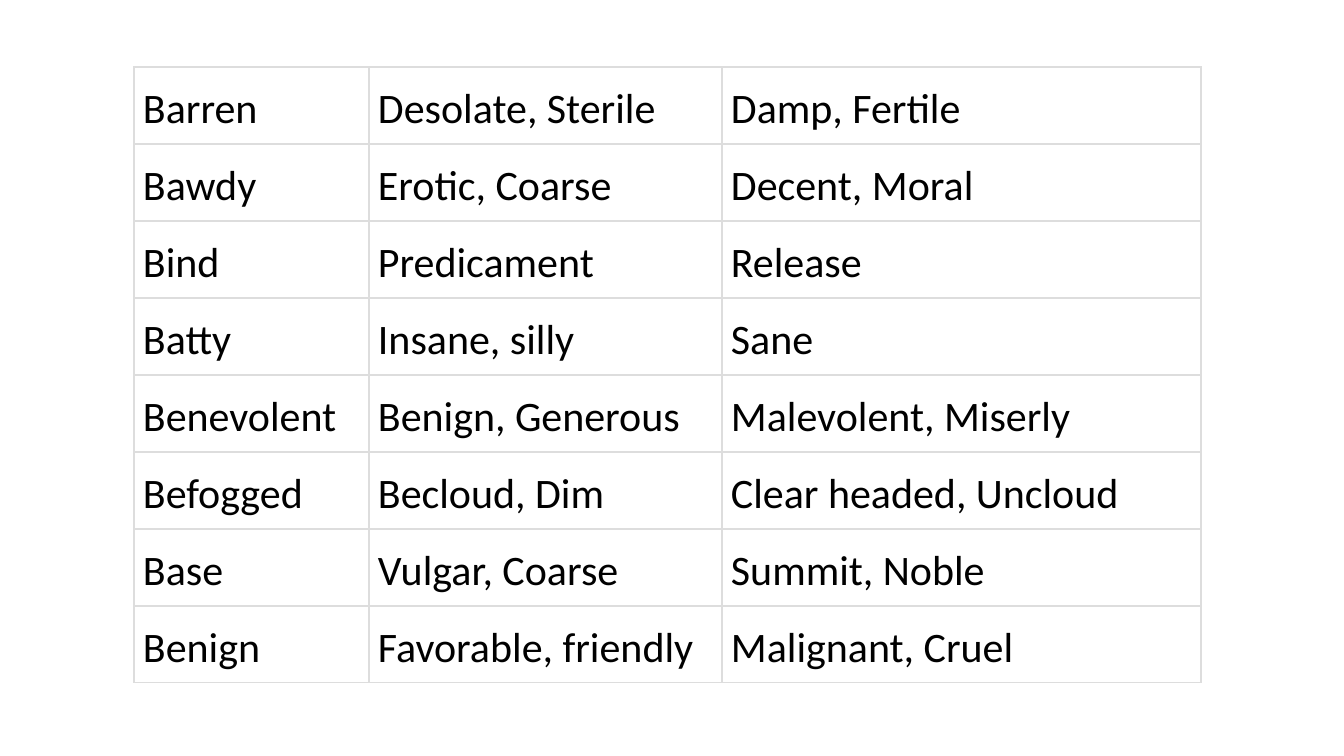
from typing import NamedTuple

from lxml import etree
from pptx import Presentation
from pptx.dml.color import RGBColor
from pptx.enum.text import MSO_ANCHOR
from pptx.oxml.ns import qn
from pptx.slide import Slide
from pptx.table import _Cell
from pptx.util import Emu, Pt

SLIDE_WIDTH, SLIDE_HEIGHT = 1344, 756
EMU_PER_PX = 12192000 / SLIDE_WIDTH

WHITE = RGBColor(0xFF, 0xFF, 0xFF)
BLACK = RGBColor(0x00, 0x00, 0x00)
BORDER_GREY = RGBColor(0xDD, 0xDD, 0xDD)

ANCHOR_TOP = MSO_ANCHOR.TOP
FONT_NAME = "Calibri"
FONT_SIZE = Pt(30)
LINE_SPACING = 1.15
BORDER_WIDTH = Pt(1)
BORDER_SIDES = ("a:lnL", "a:lnR", "a:lnT", "a:lnB")

TABLE_LEFT, TABLE_TOP = 134, 67
COLUMN_WIDTHS = (235, 353, 479)
ROW_HEIGHT = 77
CELL_MARGIN = 9


class Entry(NamedTuple):
    word: str
    synonyms: str
    antonyms: str


ENTRIES = (
    Entry("Barren", "Desolate, Sterile", "Damp, Fertile"),
    Entry("Bawdy", "Erotic, Coarse", "Decent, Moral"),
    Entry("Bind", "Predicament", "Release"),
    Entry("Batty", "Insane, silly", "Sane"),
    Entry("Benevolent", "Benign, Generous", "Malevolent, Miserly"),
    Entry("Befogged", "Becloud, Dim", "Clear headed, Uncloud"),
    Entry("Base", "Vulgar, Coarse", "Summit, Noble"),
    Entry("Benign", "Favorable, friendly", "Malignant, Cruel"),
)


def px(length: int) -> Emu:
    return Emu(round(length * EMU_PER_PX))


def add_borders(cell: _Cell) -> None:
    properties = cell._tc.get_or_add_tcPr()
    for side in BORDER_SIDES:
        line = etree.SubElement(properties, qn(side), w=str(int(BORDER_WIDTH)))
        fill = etree.SubElement(line, qn("a:solidFill"))
        etree.SubElement(fill, qn("a:srgbClr"), val=str(BORDER_GREY))


def fill_cell(cell: _Cell, text: str) -> None:
    add_borders(cell)
    cell.fill.solid()
    cell.fill.fore_color.rgb = WHITE
    cell.vertical_anchor = ANCHOR_TOP
    cell.margin_left = cell.margin_right = px(CELL_MARGIN)
    cell.margin_top = cell.margin_bottom = px(CELL_MARGIN)
    para = cell.text_frame.paragraphs[0]
    para.text = text
    para.line_spacing = LINE_SPACING
    font = para.runs[0].font
    font.name = FONT_NAME
    font.size = FONT_SIZE
    font.color.rgb = BLACK


def add_word_table(page: Slide, entries: tuple[Entry, ...]) -> None:
    table = page.shapes.add_table(
        len(entries), len(COLUMN_WIDTHS),
        px(TABLE_LEFT), px(TABLE_TOP),
        px(sum(COLUMN_WIDTHS)), px(ROW_HEIGHT * len(entries)),
    ).table
    table.first_row = False
    table.horz_banding = False
    for column, width in zip(table.columns, COLUMN_WIDTHS):
        column.width = px(width)
    for row, entry in zip(table.rows, entries):
        row.height = px(ROW_HEIGHT)
        for cell, text in zip(row.cells, entry):
            fill_cell(cell, text)


def main() -> None:
    deck = Presentation()
    deck.slide_width = px(SLIDE_WIDTH)
    deck.slide_height = px(SLIDE_HEIGHT)
    page = deck.slides.add_slide(deck.slide_layouts[6])
    add_word_table(page, ENTRIES)
    deck.save("out.pptx")


if __name__ == "__main__":
    main()
